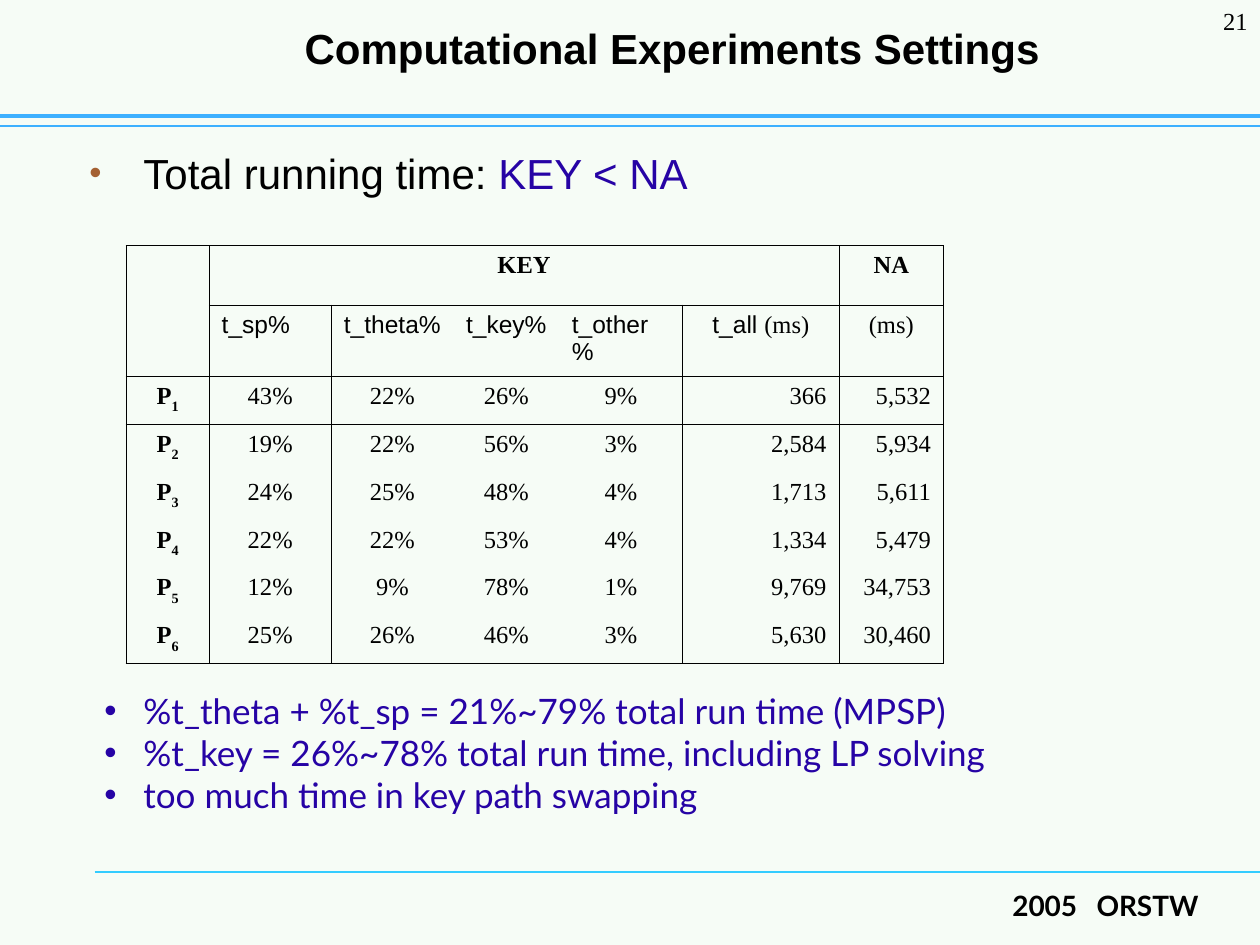
from dataclasses import dataclass
from typing import Any, Optional

from lxml import etree
from pptx import Presentation
from pptx.dml.color import RGBColor
from pptx.enum import shapes, text
from pptx.oxml import ns
from pptx.util import Inches, Pt

HUES = {"paper": "F6FCF6", "ink": "000000", "violet": "2603A5",
        "rust": "A46032", "sky": "3DB0FF", "cyan": "33CCFF"}
LEFT, MID, RIGHT = text.PP_ALIGN.LEFT, text.PP_ALIGN.CENTER, text.PP_ALIGN.RIGHT
SERIF = "Times New Roman"
WIDTHS = (0.66, 0.97, 0.97, 0.84, 0.98, 1.24, 0.83)
HEIGHTS = (0.47,) * 2 + (0.38,) * 6
HEADS = ("t_sp%", "t_theta%", "t_key%", "t_other%")
TIMES = (
    ("43%", "22%", "26%", "9%", "366", "5,532"),
    ("19%", "22%", "56%", "3%", "2,584", "5,934"),
    ("24%", "25%", "48%", "4%", "1,713", "5,611"),
    ("22%", "22%", "53%", "4%", "1,334", "5,479"),
    ("12%", "9%", "78%", "1%", "9,769", "34,753"),
    ("25%", "26%", "46%", "3%", "5,630", "30,460"),
)


@dataclass
class Run:
    """A piece of text with what sets it apart."""
    words: str
    hue: Optional[str] = None
    font: Optional[str] = None
    attrs: tuple = ()


@dataclass
class Style:
    """The font and alignment of a paragraph."""
    size: float
    font: str
    align: Any = LEFT
    bold: bool = False
    hue: str = "ink"


@dataclass
class Bullet:
    """A bullet with its hanging indent."""
    hue: str
    margin: float
    hang: float
    scale: int = 100


@dataclass
class Box:
    """A text box and its lines of runs."""
    at: tuple
    lines: list
    style: Style
    bullet: Optional[Bullet] = None
    anchor: Any = text.MSO_ANCHOR.TOP


@dataclass
class Rule:
    """A horizontal line reaching the right edge."""
    left: float
    top: float
    hue: str
    width: float


RULES = (Rule(0.75, 6.92, "cyan", 0.75), Rule(0, 1, "sky", 0.75),
         Rule(0, 0.92, "sky", 2.5))
BOXES = (
    Box((1.83, 7, 7.78, 0.5),
        [[Run("2005"), Run(" ", attrs=(("spc", "720"),)), Run("ORSTW")]],
        Style(16, "Lato", RIGHT, True)),
    Box((1.42, 0, 7.83, 0.75), [[Run("Computational Experiments Settings")]],
        Style(24, "Arial", MID, True), anchor=text.MSO_ANCHOR.MIDDLE),
    Box((0.5, 1.12, 9.25, 5.88),
        [[Run("Total running time: "), Run("KEY < NA", "violet")]],
        Style(24, "Arial"), Bullet("rust", 0.54, 0.43, 83)),
    Box((0.73, 5.42, 7.45, 1.1),
        [[Run("%t_theta + %t_sp = 21%~79% total run time (MPSP)")],
         [Run("%t_key = 26%~78% total run time, including LP solving")],
         [Run("too much time in key path swapping")]],
        Style(20, "Lato", hue="violet"), Bullet("violet", 0.31, 0.31)),
    Box((9.17, 0, 0.83, 0.5), [[Run("21")]], Style(14, SERIF, RIGHT)),
)


def tint(name: str) -> RGBColor:
    """Return a named colour."""
    return RGBColor.from_string(HUES[name])


def sub(node: Any, tag: str, **attrs: str) -> Any:
    """Add a child element."""
    return etree.SubElement(node, ns.qn(tag), attrs)


def mark(para: Any, bullet: Bullet) -> None:
    """Give a paragraph its bullet."""
    props = para._p.get_or_add_pPr()
    props.set("marL", str(Inches(bullet.margin)))
    props.set("indent", str(-Inches(bullet.hang)))
    sub(sub(props, "a:buClr"), "a:srgbClr", val=HUES[bullet.hue])
    sub(props, "a:buSzPct", val=str(bullet.scale * 1000))
    sub(props, "a:buFont", typeface="Arial")
    sub(props, "a:buChar", char="•")


def write(para: Any, runs: list, style: Style, bullet: Optional[Bullet] = None) -> None:
    """Fill a paragraph with styled runs."""
    if bullet:
        mark(para, bullet)
    para.alignment = style.align
    font = para.font
    font.size, font.name, font.bold = Pt(style.size), style.font, style.bold
    font.color.rgb = tint(style.hue)
    for item in runs:
        run = para.add_run()
        run.text = item.words
        if item.hue:
            run.font.color.rgb = tint(item.hue)
        if item.font:
            run.font.name = item.font
        for key, val in item.attrs:
            run._r.get_or_add_rPr().set(key, val)


def place(slide: Any, box: Box) -> None:
    """Draw a text box."""
    frame = slide.shapes.add_textbox(*map(Inches, box.at)).text_frame
    frame.word_wrap, frame.vertical_anchor = True, box.anchor
    for i, runs in enumerate(box.lines):
        para = frame.add_paragraph() if i else frame.paragraphs[0]
        write(para, runs, box.style, box.bullet)


def draw(slide: Any, rule: Rule) -> None:
    """Draw a rule."""
    top = Inches(rule.top)
    line = slide.shapes.add_connector(
        shapes.MSO_CONNECTOR.STRAIGHT, Inches(rule.left), top, Inches(10), top)
    line.line.color.rgb, line.line.width = tint(rule.hue), Pt(rule.width)
    sub(line._element.spPr, "a:effectLst")


def edge(cell: Any, row: int, col: int) -> None:
    """Draw the borders that a cell needs."""
    sides = {"L": row == 0 or col in (0, 1, 5, 6), "R": row == 0 or col in (0, 4, 5, 6),
             "T": row < 3, "B": row in (0, 1, 7)}
    props = cell._tc.get_or_add_tcPr()
    for side in (side for side, shown in sides.items() if shown):
        line = sub(props, f"a:ln{side}", w=str(Pt(0.45)))
        sub(sub(line, "a:solidFill"), "a:srgbClr", val=HUES["ink"])


def tally(slide: Any) -> None:
    """Draw the table of running times."""
    grid = slide.shapes.add_table(
        len(HEIGHTS), len(WIDTHS), Inches(1), Inches(1.95),
        Inches(sum(WIDTHS)), Inches(sum(HEIGHTS))).table
    grid.first_row = grid.horz_banding = False
    grid._tbl.tblPr.find(ns.qn("a:tableStyleId")).text = "{2D5ABB26-0587-4C30-8999-92F81FD0307C}"
    for col, width in zip(grid.columns, WIDTHS):
        col.width = Inches(width)
    for row, height in zip(grid.rows, HEIGHTS):
        row.height = Inches(height)
    grid.cell(0, 0).merge(grid.cell(1, 0))
    grid.cell(0, 1).merge(grid.cell(0, 5))
    for r in range(len(HEIGHTS)):
        for c in range(len(WIDTHS)):
            cell = grid.cell(r, c)
            if not cell.is_spanned:
                edge(cell, r, c)
            cell.fill.background()

    def put(r: int, c: int, runs: list, style: Style) -> None:
        """Write one cell."""
        write(grid.cell(r, c).text_frame.paragraphs[0], runs, style)

    bold, mid = Style(14, SERIF, MID, True), Style(14, SERIF, MID)
    put(0, 1, [Run("KEY")], bold)
    put(0, 6, [Run("NA")], bold)
    for c, head in enumerate(HEADS, 1):
        put(1, c, [Run(head)], Style(14, "Arial"))
    put(1, 5, [Run("t_all ", font="Arial"), Run("(ms)")], mid)
    put(1, 6, [Run("(ms)")], mid)
    for n, row in enumerate(TIMES, 1):
        put(n + 1, 0, [Run("P"), Run(str(n), attrs=(("baseline", "-30000"),))], bold)
        for c, value in enumerate(row, 1):
            put(n + 1, c, [Run(value)], mid if c < 5 else Style(14, SERIF, RIGHT))


def main() -> None:
    """Build the slide."""
    deck = Presentation()
    deck.slide_width, deck.slide_height = Inches(10), Inches(7.5)
    slide = deck.slides.add_slide(deck.slide_layouts[6])
    slide.background.fill.solid()
    slide.background.fill.fore_color.rgb = tint("paper")
    for rule in RULES:
        draw(slide, rule)
    for box in BOXES:
        place(slide, box)
    tally(slide)
    deck.save("out.pptx")


if __name__ == "__main__":
    main()
